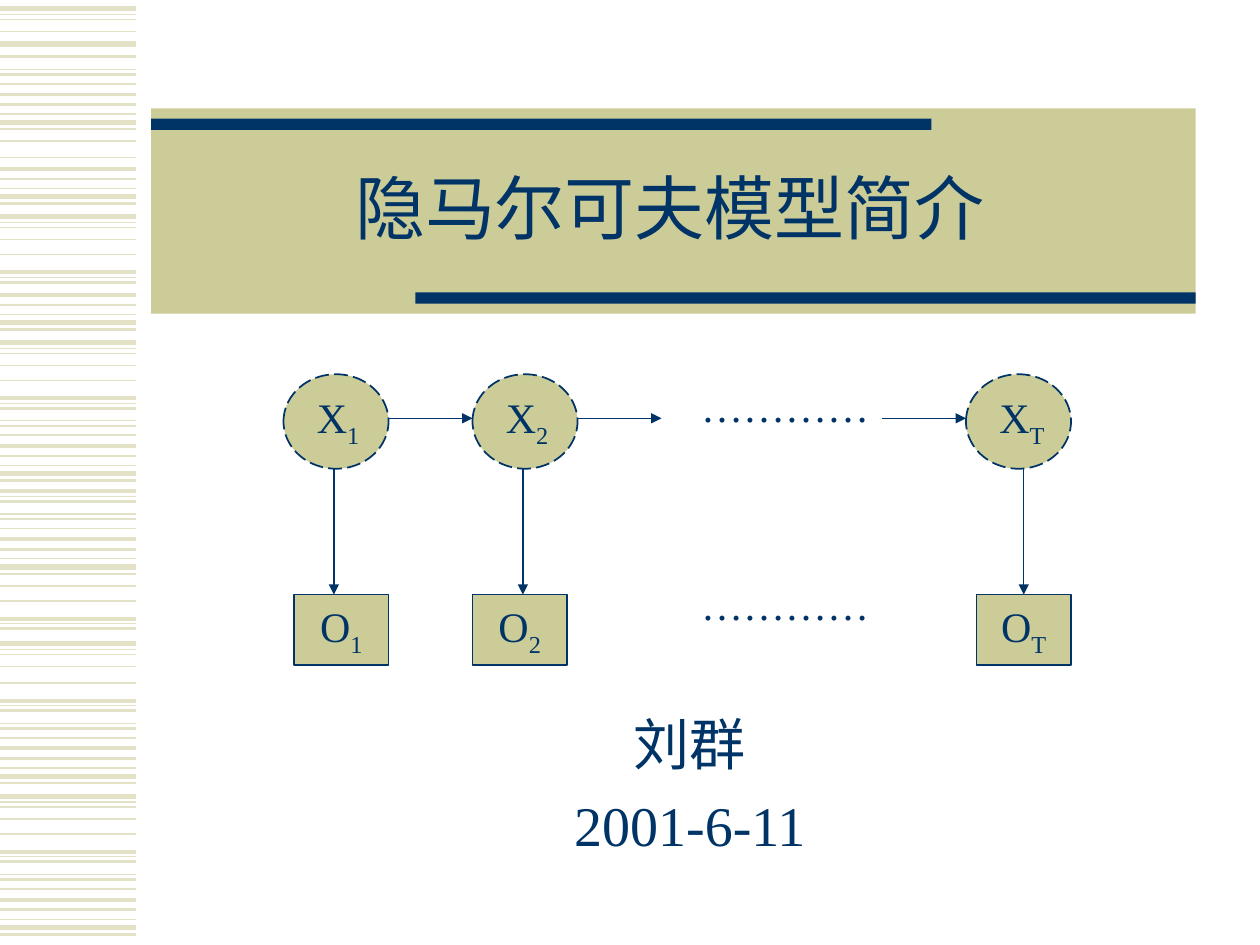
from dataclasses import dataclass

from lxml import etree
from pptx import Presentation
from pptx import util as u
from pptx.dml.color import RGBColor
from pptx.enum import dml, shapes, text
from pptx.oxml import ns

KHAKI = RGBColor(0xCC, 0xCC, 0x99)
PALE_KHAKI = RGBColor(0xE3, 0xE2, 0xC7)
NAVY = RGBColor(0x00, 0x33, 0x66)
FONT = "Times New Roman"

# Stripe motifs: (offset in hundredths of an inch, weight in points)
HEAD = [(0, 3), (4.5, 0.75), (8.5, 1), (18, 1)]
TRIO = [(0, 2.25), (4, 0.75), (8, 1.5)]
FADE = [(0, 0.75), (4, 1.5), (11.5, 1)]
BAND = [(0, 2.25), (8, 1.5), (15.5, 0.75), (22, 3), (27.5, 1.5)]
MOTIF_STARTS = [
    (HEAD, [7, 172, 272, 511, 632]),
    (TRIO, [216, 316, 390, 491, 556, 676]),
    (FADE, [55, 334, 408, 574, 694]),
    (BAND, [75, 134, 234, 354, 428, 594, 714]),
    ([(0, 1)], [112, 125, 202, 302, 465, 477, 542, 662]),
    ([(0, 3), (10, 1.5)], [35]),
]


@dataclass
class Grid:
    """A box in inches, divided into columns and rows."""
    left: float
    top: float
    width: float
    height: float
    cols: float = 100
    rows: float = 100

    def point(self, col, row):
        return (u.Inches(self.left + col * self.width / self.cols),
                u.Inches(self.top + row * self.height / self.rows))

    def cell(self, col, row, cols, rows):
        return (*self.point(col, row),
                u.Inches(cols * self.width / self.cols),
                u.Inches(rows * self.height / self.rows))


def write(frame, *paragraphs, size=24, align=text.PP_ALIGN.LEFT,
          anchor=text.MSO_ANCHOR.TOP, gap=0, spacing=None):
    """Each paragraph is a (main, subscript) pair."""
    frame.word_wrap = True
    frame.vertical_anchor = anchor
    for index, parts in enumerate(paragraphs):
        paragraph = frame.add_paragraph() if index else frame.paragraphs[0]
        paragraph.alignment = align
        if index:
            paragraph.space_before = u.Pt(gap)
        if spacing:
            paragraph.line_spacing = spacing
        for part, baseline in zip(parts, (None, "-25000")):
            if not part:
                continue
            run = paragraph.add_run()
            run.text = part
            run.font.size = u.Pt(size)
            run.font.name = FONT
            run.font.color.rgb = NAVY
            if baseline:
                run.font._element.set("baseline", baseline)


def add_filled(slide, kind, cell, fill, weight=None):
    filled = slide.shapes.add_shape(kind, *cell)
    filled.shadow.inherit = False
    filled.fill.solid()
    filled.fill.fore_color.rgb = fill
    if weight:
        filled.line.color.rgb = NAVY
        filled.line.width = u.Pt(weight)
    else:
        filled.line.fill.background()
    return filled


def add_line(slide, start, end, color, weight, arrow=False):
    line = slide.shapes.add_connector(shapes.MSO_CONNECTOR.STRAIGHT, *start, *end)
    line.line.color.rgb = color
    line.line.width = u.Pt(weight)
    if arrow:
        etree.SubElement(line.line._get_or_add_ln(), ns.qn("a:tailEnd"), type="triangle")
    etree.SubElement(line._element.spPr, ns.qn("a:effectLst"))
    return line


def draw_stripes(slide, grid):
    for motif, starts in MOTIF_STARTS:
        for start in starts:
            for offset, weight in motif:
                row = start + offset
                add_line(slide, grid.point(0, row), grid.point(grid.cols, row),
                         PALE_KHAKI, weight)


def draw_banner(slide, grid, title):
    rectangle = shapes.MSO_SHAPE.RECTANGLE
    bar_cols, bar_rows = 74.7, 5.5
    add_filled(slide, rectangle, grid.cell(0, 0, 100, 100), KHAKI)
    for col, row in ((100 - bar_cols, 89.6), (0, 5)):
        add_filled(slide, rectangle, grid.cell(col, row, bar_cols, bar_rows), NAVY)
    heading = slide.shapes.add_textbox(*grid.cell(1, 17.2, 97.3, 68))
    write(heading.text_frame, (title,), size=40, align=text.PP_ALIGN.CENTER,
          anchor=text.MSO_ANCHOR.MIDDLE, spacing=0.85)


def draw_byline(slide, grid, author, date):
    byline = slide.shapes.add_textbox(*grid.cell(0, 0, 100, 100))
    write(byline.text_frame, (author,), (date,), size=32,
          align=text.PP_ALIGN.CENTER, gap=8)


def draw_markov_chain(slide, grid):
    state_rows, output_row, link_row = 9, 21, 4.2
    # Index, columns of the state, its output and the arrow between them
    for index, state_col, output_col, arrow_col in (
            ("1", 0, 1, 4.8), ("2", 18, 18, 22.8), ("T", 65, 66, 70.5)):
        state = add_filled(slide, shapes.MSO_SHAPE.OVAL,
                           grid.cell(state_col, 0, 10, state_rows), KHAKI, 1)
        state.line.dash_style = dml.MSO_LINE.LONG_DASH
        label = slide.shapes.add_textbox(*grid.cell(state_col + 2, 1.1, 7, 6.7))
        write(label.text_frame, ("X", index))

        output = add_filled(slide, shapes.MSO_SHAPE.RECTANGLE,
                            grid.cell(output_col, output_row, 9, 6.7), KHAKI, 0.75)
        write(output.text_frame, ("O", index), align=text.PP_ALIGN.CENTER)
        emission = add_line(slide, grid.point(arrow_col, state_rows),
                            grid.point(arrow_col, output_row), NAVY, 0.75, arrow=True)
        if arrow_col == output_col + 4.5:
            emission.end_connect(output, 0)

    for col in (10, 28, 57):
        add_line(slide, grid.point(col, link_row), grid.point(col + 8, link_row),
                 NAVY, 0.75, arrow=True)
    for row in (0, 18.9):
        dots = slide.shapes.add_textbox(*grid.cell(38.6, row, 21, 6))
        write(dots.text_frame, ("…………",))


def main():
    deck = Presentation()
    deck.slide_width, deck.slide_height = u.Inches(10), u.Inches(7.5)
    slide = deck.slides.add_slide(deck.slide_layouts[6])
    draw_stripes(slide, Grid(0, 0, 1.08, 7.5, cols=1, rows=750))
    draw_banner(slide, Grid(1.2, 0.86, 8.29, 1.63), "隐马尔可夫模型简介")
    draw_byline(slide, Grid(1.83, 5.58, 7.29, 1.14), "刘群", "2001-6-11")
    draw_markov_chain(slide, Grid(2.25, 2.97, 6.25, 2.5, cols=75, rows=30))
    deck.save("out.pptx")


if __name__ == "__main__":
    main()
